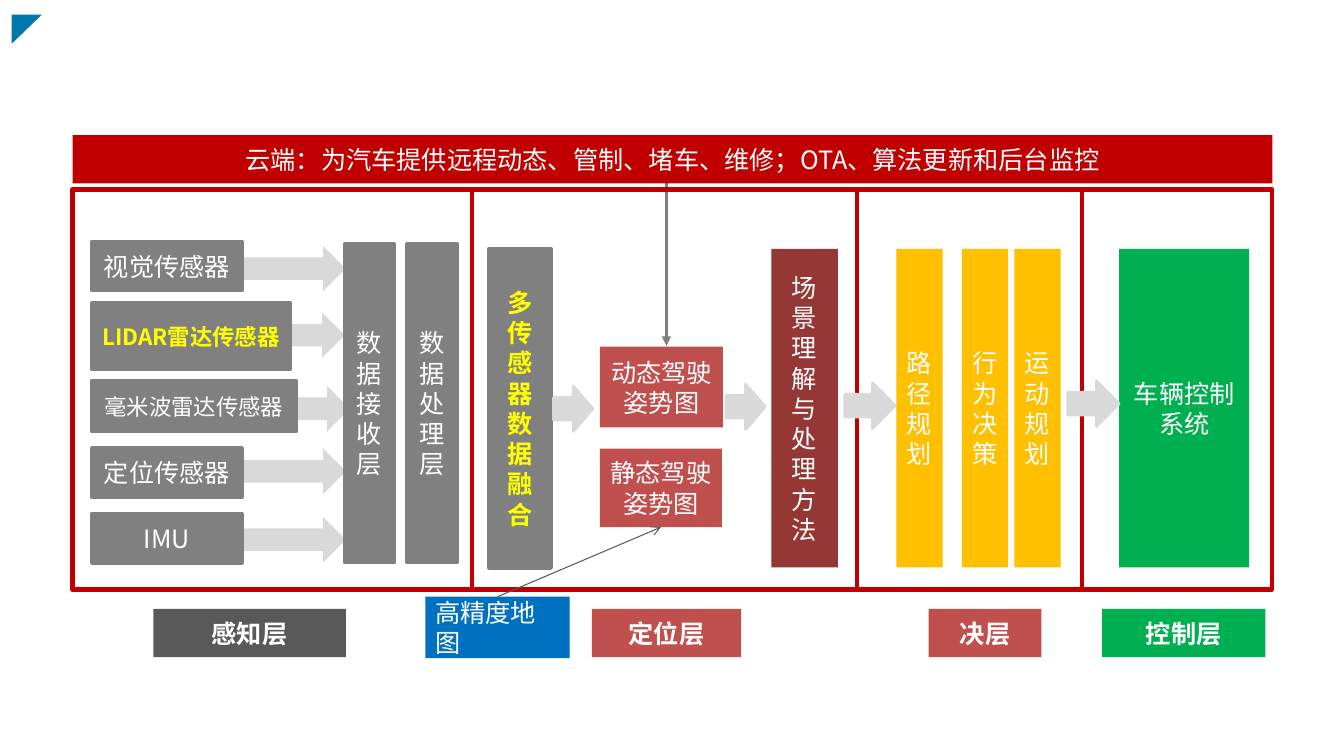
from lxml.etree import SubElement
from pptx import Presentation
from pptx.dml.color import RGBColor
from pptx.enum.shapes import MSO_CONNECTOR as Link, MSO_SHAPE as Shape
from pptx.enum.text import MSO_ANCHOR as Anchor, PP_ALIGN as Align
from pptx.oxml.ns import qn
from pptx.util import Pt

EMU_PER_PX = 9144
FONT = "Noto Sans CJK SC"
WHITE, YELLOW, GREY, SILVER = "FFFFFF", "FFFF00", "808080", "D9D9D9"
RED, BRICK, MAROON = "C00000", "C0504D", "953735"
AMBER, GREEN, BLUE, SLATE = "FFC000", "00B050", "0070C0", "595959"
COLUMN_TOP, COLUMN_HEIGHT = 247, 316


def px(length):
    return length * EMU_PER_PX


def paint(target, color):
    target.rgb = RGBColor.from_string(color)


def add_block(page, kind, area, fill=None, line=None, weight=3):
    block = page.shapes.add_shape(kind, *map(px, area))
    block.shadow.inherit = False
    if fill:
        block.fill.solid()
        paint(block.fill.fore_color, fill)
    else:
        block.fill.background()
    if line:
        paint(block.line.color, line)
        block.line.width = Pt(weight)
    else:
        block.line.fill.background()
    return block


def add_box(page, text, area, fill, line=None, size=18, color=WHITE,
            bold=False, align=Align.CENTER):
    box = add_block(page, Shape.RECTANGLE, area, fill, line)
    frame = box.text_frame
    frame.word_wrap = True
    frame.vertical_anchor = Anchor.MIDDLE
    para = frame.paragraphs[0]
    para.text = text
    para.alignment = align
    font = para.font
    font.size = Pt(size)
    font.bold = bold
    paint(font.color, color)
    font.name = FONT
    defaults = para._p.pPr.find(qn("a:defRPr"))
    SubElement(defaults, qn("a:ea"), typeface=FONT)
    return box


def add_arrow(page, left, top, width, line=None):
    add_block(page, Shape.RIGHT_ARROW, (left, top, width, 45), SILVER, line, 2)


def add_line(page, start, end, color, weight, head=None):
    line = page.shapes.add_connector(Link.STRAIGHT, *map(px, start + end))
    paint(line.line.color, color)
    line.line.width = Pt(weight)
    if head:
        SubElement(line.line._get_or_add_ln(), qn("a:tailEnd"), type=head)
    SubElement(line._element.spPr, qn("a:effectLst"))
    return line


def add_column(page, text, left, width, fill, **style):
    area = (left, COLUMN_TOP, width, COLUMN_HEIGHT)
    add_box(page, text, area, fill, **style)


def add_cloud(page):
    add_line(page, (661, 180), (661, 343), "7F7F7F", 2.25, "triangle")
    add_box(page, "云端：为汽车提供远程动态、管制、堵车、维修；OTA、算法更新和后台监控",
            (72, 134, 1190, 48), RED)


def add_frame(page):
    add_block(page, Shape.RECTANGLE, (72, 188, 1190, 397), line=RED)
    for left, top in ((468, 189), (850, 188), (1073, 187)):
        add_line(page, (left, top), (left, top + 395), RED, 3)


def add_sensors(page):
    lidar = dict(size=16, color=YELLOW, bold=True)
    sensors = (
        ("视觉传感器", 240, 149, 48, (241, 244, 102), {}),
        ("LIDAR雷达传感器", 301, 197, 65, (288, 310, 54), lidar),
        ("毫米波雷达传感器", 378, 203, 50, (293, 383, 54), dict(size=16)),
        ("定位传感器", 445, 149, 48, (241, 445, 102), {}),
        ("IMU", 510, 149, 48, (241, 513, 102), {}),
    )
    for text, top, width, height, arrow, style in sensors:
        add_arrow(page, *arrow)
        add_box(page, text, (91, top, width, height), GREY, GREY, **style)
    for text, left in (("数据接收层", 342), ("数据处理层", 404)):
        add_box(page, text, (left, 242, 49, COLUMN_HEIGHT), GREY, GREY)


def add_positioning(page):
    add_column(page, "多传感器数据融合", 485, 61, GREY,
               line=GREY, color=YELLOW, bold=True)
    add_box(page, "动态驾驶姿势图", (595, 344, 122, 80), BRICK)
    static_pose = add_box(page, "静态驾驶姿势图", (595, 445, 121, 78), BRICK)
    add_column(page, "场景理解与处理方法", 765, 66, MAROON)
    hd_map = add_box(page, "高精度地图", (422, 592, 143, 61), BLUE,
                     align=Align.LEFT)
    link = add_line(page, (494, 592), (655, 523), SLATE, 0.75, "arrow")
    link.begin_connect(hd_map, 0)
    link.end_connect(static_pose, 2)


def add_decision_and_control(page):
    plans = (("路径规划", 889), ("行为决策", 954), ("运动规划", 1006))
    for text, left in plans:
        add_column(page, text, left, 46, AMBER)
    add_column(page, "车辆控制系统", 1110, 129, GREEN)


def add_stage_arrows(page):
    stages = ((549, 383, 39), (720, 381, 39), (838, 380, 50), (1059, 378, 51))
    for left, top, width in stages:
        add_arrow(page, left, top, width, SILVER)


def add_layer_names(page):
    layers = (
        ("感知层", 152, 191, SLATE),
        ("定位层", 587, 148, BRICK),
        ("决层", 921, 112, BRICK),
        ("控制层", 1093, 162, GREEN),
    )
    for text, left, width, fill in layers:
        add_box(page, text, (left, 604, width, 48), fill, bold=True)


def main():
    deck = Presentation()
    deck.slide_width, deck.slide_height = px(1333), px(750)
    page = deck.slides.add_slide(deck.slide_layouts[6])
    add_cloud(page)
    add_frame(page)
    add_sensors(page)
    add_positioning(page)
    add_decision_and_control(page)
    add_stage_arrows(page)
    add_layer_names(page)
    corner = add_block(page, Shape.RIGHT_TRIANGLE, (12, 14, 29, 30), "0176AB")
    corner.rotation = 90
    deck.save("out.pptx")


if __name__ == "__main__":
    main()
